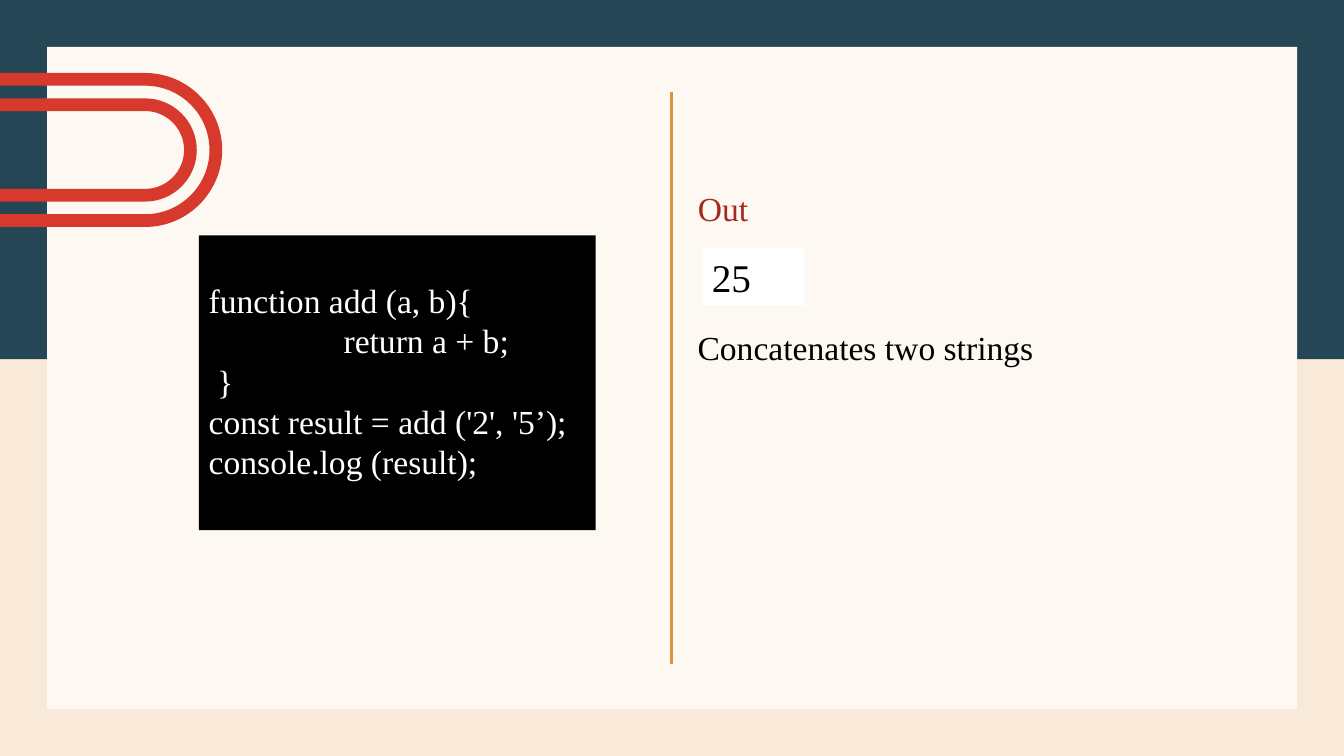
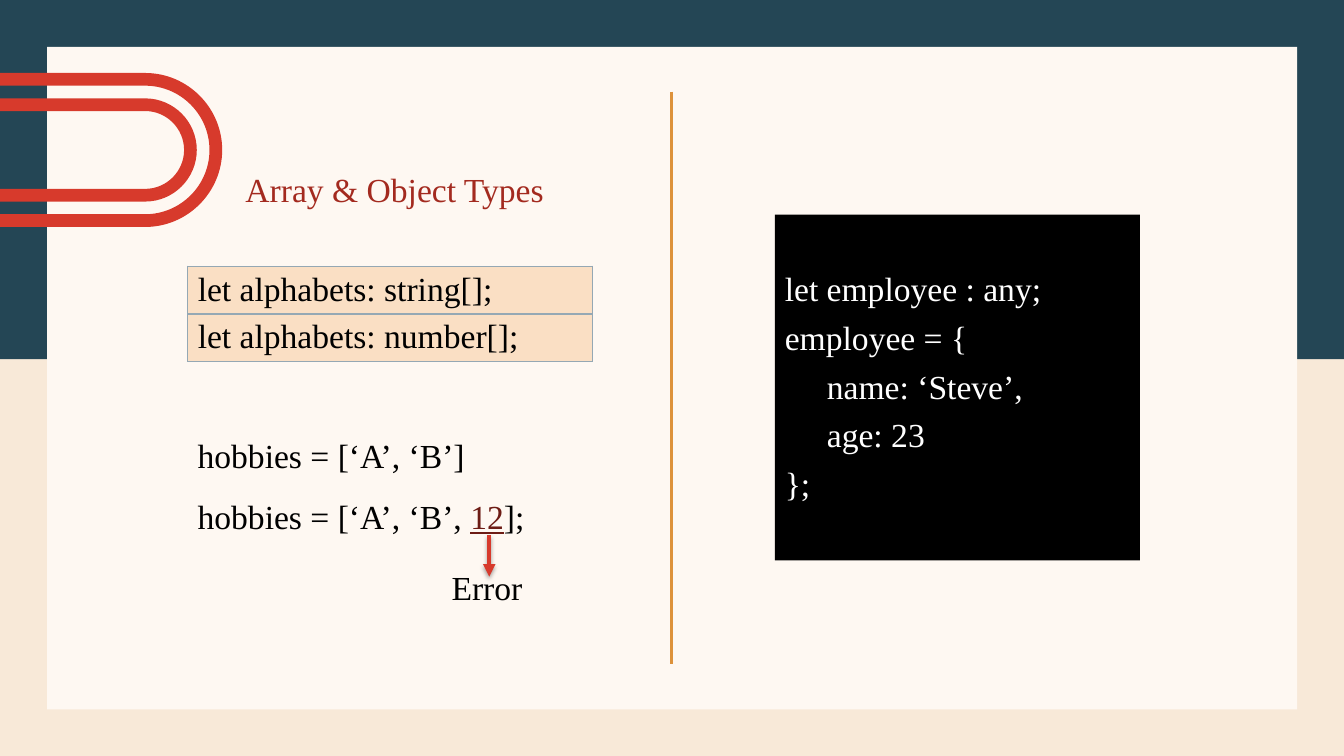
"""Build two code-example slides on a shared framed master."""
from typing import NamedTuple

import lxml.etree
import pptx
import pptx.dml.color
import pptx.enum.shapes
import pptx.enum.text
import pptx.oxml.ns
import pptx.util

Cm = pptx.util.Cm
Pt = pptx.util.Pt
RGBColor = pptx.dml.color.RGBColor
ShapeType = pptx.enum.shapes.MSO_SHAPE
Anchor = pptx.enum.text.MSO_ANCHOR
qn = pptx.oxml.ns.qn

NAVY = RGBColor(0x24, 0x46, 0x55)
SAND = RGBColor(0xF8, 0xE9, 0xD8)
CREAM = RGBColor(0xFE, 0xF8, 0xF2)
RED = RGBColor(0xD7, 0x3A, 0x2C)
TITLE_RED = RGBColor(0xA3, 0x2A, 0x1F)
ERROR_RED = RGBColor(0x6D, 0x1C, 0x15)
GOLD = RGBColor(0xDD, 0x92, 0x3B)
PEACH = RGBColor(0xFA, 0xDF, 0xC4)
BORDER = RGBColor(0x95, 0xA8, 0xB4)
BLACK = RGBColor(0, 0, 0)
WHITE = RGBColor(0xFF, 0xFF, 0xFF)

FONT = "Times New Roman"
TEXT_SIZE = 24
LINE_HEIGHT = 1.2
ARC_HANDLE = 0.55
FRAME_FORMAT = {
    "word_wrap": True,
    "auto_size": pptx.enum.text.MSO_AUTO_SIZE.NONE,
    "vertical_anchor": Anchor.MIDDLE,
}


class Box(NamedTuple):
    """A rectangle in centimetres."""

    left: float
    top: float
    width: float
    height: float

    def inside(self, left, top, width, height):
        """Return a box placed relative to this one."""
        return Box(self.left + left, self.top + top, width, height)

    def lengths(self):
        """Return the four lengths for python-pptx."""
        return [Cm(value) for value in self]


SLIDE = Box(0, 0, 33.87, 19.05)
PANEL = Box(1.19, 1.18, 31.5, 16.7)
DIVIDER = 16.93
LEFT_HALF = PANEL._replace(width=DIVIDER - PANEL.left)
RIGHT_HALF = PANEL._replace(left=DIVIDER, width=PANEL.left + PANEL.width - DIVIDER)


def apply_format(target, values):
    """Set each named attribute on the target."""
    for name, value in values.items():
        setattr(target, name, value)


def add_run(paragraph, text, color, size=TEXT_SIZE, **extra):
    """Add a run of text in the deck's font."""
    run = paragraph.add_run()
    run.text = text
    apply_format(run.font, {"name": FONT, "size": Pt(size), **extra})
    run.font.color.rgb = color


def write_lines(frame, lines, color, size=TEXT_SIZE, leading=LINE_HEIGHT, space_after=0):
    """Fill a frame with (indent, text) lines, one paragraph each."""
    apply_format(frame, FRAME_FORMAT)
    for index, (indent, text) in enumerate(lines):
        paragraph = frame.add_paragraph() if index else frame.paragraphs[0]
        apply_format(paragraph, {
            "alignment": pptx.enum.text.PP_ALIGN.LEFT,
            "line_spacing": Pt(size * leading),
            "space_before": Pt(0),
            "space_after": Pt(space_after),
        })
        if indent:
            paragraph._p.get_or_add_pPr().set("marL", str(Cm(indent)))
        if text:
            add_run(paragraph, text, color, size)


def paint(shape, color):
    """Fill a shape and remove its outline and shadow."""
    shape.fill.solid()
    shape.fill.fore_color.rgb = color
    shape.line.fill.background()
    shape.shadow.inherit = False


def add_rectangle(slide, box, color):
    """Add a plain filled rectangle."""
    shape = slide.shapes.add_shape(ShapeType.RECTANGLE, *box.lengths())
    paint(shape, color)
    return shape


def add_label(slide, box, text, color=BLACK):
    """Add a one-line text box."""
    label = slide.shapes.add_textbox(*box.lengths())
    write_lines(label.text_frame, [(0, text)], color)


def add_line(slide, start, end, color, width):
    """Add a straight line without a shadow."""
    line = slide.shapes.add_connector(
        pptx.enum.shapes.MSO_CONNECTOR.STRAIGHT, *map(Cm, start + end))
    line.line.color.rgb = color
    line.line.width = Pt(width)
    lxml.etree.SubElement(line._element.spPr, qn("a:effectLst"))
    return line


def add_arrow(slide, start, end):
    """Add a red arrow with a soft shadow below it."""
    arrow = add_line(slide, start, end, RED, 3)
    lxml.etree.SubElement(arrow.line._get_or_add_ln(), qn("a:tailEnd"), type="triangle")
    effects = arrow._element.spPr.find(qn("a:effectLst"))
    shadow = lxml.etree.SubElement(
        effects, qn("a:outerShdw"), blurRad=str(Pt(3.1)), dist=str(Pt(1.8)),
        dir="5400000", rotWithShape="0")
    shade = lxml.etree.SubElement(shadow, qn("a:srgbClr"), val=str(BLACK))
    lxml.etree.SubElement(shade, qn("a:alpha"), val="35000")


def merge_curves(track, starts):
    """Turn each three line segments from the given positions into one curve."""
    segments = track._element.findall(".//" + qn("a:lnTo"))
    for start in starts:
        curve = lxml.etree.Element(qn("a:cubicBezTo"))
        segments[start].addprevious(curve)
        for segment in segments[start:start + 3]:
            curve.append(segment[0])
            segment.getparent().remove(segment)


def add_track(slide, center_x, center_y, radius, thickness):
    """Add a U-shaped band that runs in from the left edge."""
    def side(reach):
        """Return the straight ends and curve handles of one side."""
        handle = reach * ARC_HANDLE
        offsets = [(0, -reach), (handle, -reach), (reach, -handle), (reach, 0),
                   (reach, handle), (handle, reach), (0, reach)]
        curve = [(center_x + x, center_y + y) for x, y in offsets]
        return [(0, center_y - reach), *curve, (0, center_y + reach)]

    points = side(radius) + side(radius - thickness)[::-1]
    start, *others = [(Cm(x), Cm(y)) for x, y in points]
    builder = slide.shapes.build_freeform(*start)
    builder.add_line_segments(others)
    track = builder.convert_to_shape()
    merge_curves(track, (1, 4, 10, 13))
    paint(track, RED)
    return track


def build_master(presentation, slide):
    """Draw the shared frame and move it to the slide master."""
    master = presentation.slide_master
    master.background.fill.solid()
    master.background.fill.fore_color.rgb = SAND
    parts = [
        add_rectangle(slide, SLIDE._replace(height=9.05), NAVY),
        add_rectangle(slide, PANEL, CREAM),
        *[add_track(slide, 3.66, 3.78, radius, 0.32) for radius in (1.94, 1.3)],
        add_line(slide, (DIVIDER, 2.31), (DIVIDER, 16.74), GOLD, 2.25),
    ]
    for index, part in enumerate(parts):
        part._element.xpath(".//p:cNvPr")[0].set("id", str(100 + index))
        master.shapes._spTree.insert(2 + index, part._element)


def place_title(slide, box, text):
    """Move and fill the title placeholder."""
    title = slide.shapes.title
    apply_format(title, dict(zip(("left", "top", "width", "height"), box.lengths())))
    write_lines(title.text_frame, [(0, text)], TITLE_RED)


def add_code(slide, box, lines, space_after=0):
    """Add a black block of white code lines."""
    block = add_rectangle(slide, box, BLACK)
    write_lines(block.text_frame, lines, WHITE, space_after=space_after)
    block.text_frame.margin_bottom = Cm(0.22)


def add_declarations(slide, box, declarations):
    """Add a one-column table of declarations."""
    frame = slide.shapes.add_table(len(declarations), 1, *box.lengths())
    for row, text in enumerate(declarations):
        cell = frame.table.cell(row, 0)
        cell.fill.solid()
        cell.fill.fore_color.rgb = PEACH
        add_run(cell.text_frame.paragraphs[0], text, BLACK, bold=False)
        properties = cell._tc.get_or_add_tcPr()
        for index, edge in enumerate(("lnL", "lnR", "lnT", "lnB")):
            border = lxml.etree.Element(qn(f"a:{edge}"), w=str(Pt(1)))
            fill = lxml.etree.SubElement(border, qn("a:solidFill"))
            lxml.etree.SubElement(fill, qn("a:srgbClr"), val=str(BORDER))
            properties.insert(index, border)


def add_output(slide, region):
    """Place the result of the code and its explanation."""
    place_title(slide, region.inside(0.4, 3.42, 3.81, 1.27), "Out")
    result = add_rectangle(slide, region.inside(0.76, 5.08, 2.59, 1.44), WHITE)
    write_lines(result.text_frame, [(0, "25")], BLACK, size=28)
    add_label(slide, region.inside(0.4, 6.93, 9.53, 1.27), "Concatenates two strings")


def add_array_types(slide, region):
    """Place the title, the array declarations and the type error."""
    place_title(slide, region.inside(4.74, 2.96, 8.61, 1.27), "Array & Object Types")
    add_declarations(slide, region.inside(3.54, 5.53, 10.21, 2.4),
                     ["let alphabets: string[];", "let alphabets: number[];"])
    hobbies = slide.shapes.add_textbox(*region.inside(3.54, 9.16, 11.99, 3.28).lengths())
    write_lines(hobbies.text_frame, [(0, "hobbies = [‘A’, ‘B’]"), (0, "")], BLACK,
                leading=1.8)
    assignment = hobbies.text_frame.paragraphs[1]
    add_run(assignment, "hobbies = [‘A’, ‘B’, ", BLACK)
    add_run(assignment, "12", ERROR_RED, underline=True)
    add_run(assignment, "];", BLACK)
    add_label(slide, region.inside(9.94, 12.97, 2.79, 1.27), "Error")
    arrow = region.inside(11.14, 12.31, 0, 1.04)
    add_arrow(slide, (arrow.left, arrow.top), (arrow.left, arrow.top + arrow.height))


def build_function_slide(slide):
    """Show a function next to its output."""
    add_code(slide, LEFT_HALF.inside(3.82, 4.75, 10, 7.43), [
        (0, "function add (a, b){"),
        (3.4, "return a + b;"),
        (0.21, "}"),
        (0, "const result = add ('2', '5’);"),
        (0, "console.log (result);"),
    ])
    add_output(slide, RIGHT_HALF)


def build_types_slide(slide):
    """Show array types next to an object type."""
    add_array_types(slide, LEFT_HALF)
    add_code(slide, RIGHT_HALF.inside(2.6, 4.23, 9.2, 8.71), [
        (0, "let employee : any;"),
        (0, "employee = {"),
        (1.06, "name: ‘Steve’,"),
        (1.06, "age: 23"),
        (0, "};"),
    ], space_after=6)


def main():
    """Build and save the presentation."""
    presentation = pptx.Presentation()
    presentation.slide_width = Cm(SLIDE.width)
    presentation.slide_height = Cm(SLIDE.height)
    layout = presentation.slide_layouts.get_by_name("Title Only")
    slides = [presentation.slides.add_slide(layout) for _ in range(2)]
    build_master(presentation, slides[0])
    for slide, build in zip(slides, (build_function_slide, build_types_slide)):
        build(slide)
    presentation.save("out.pptx")


if __name__ == "__main__":
    main()
